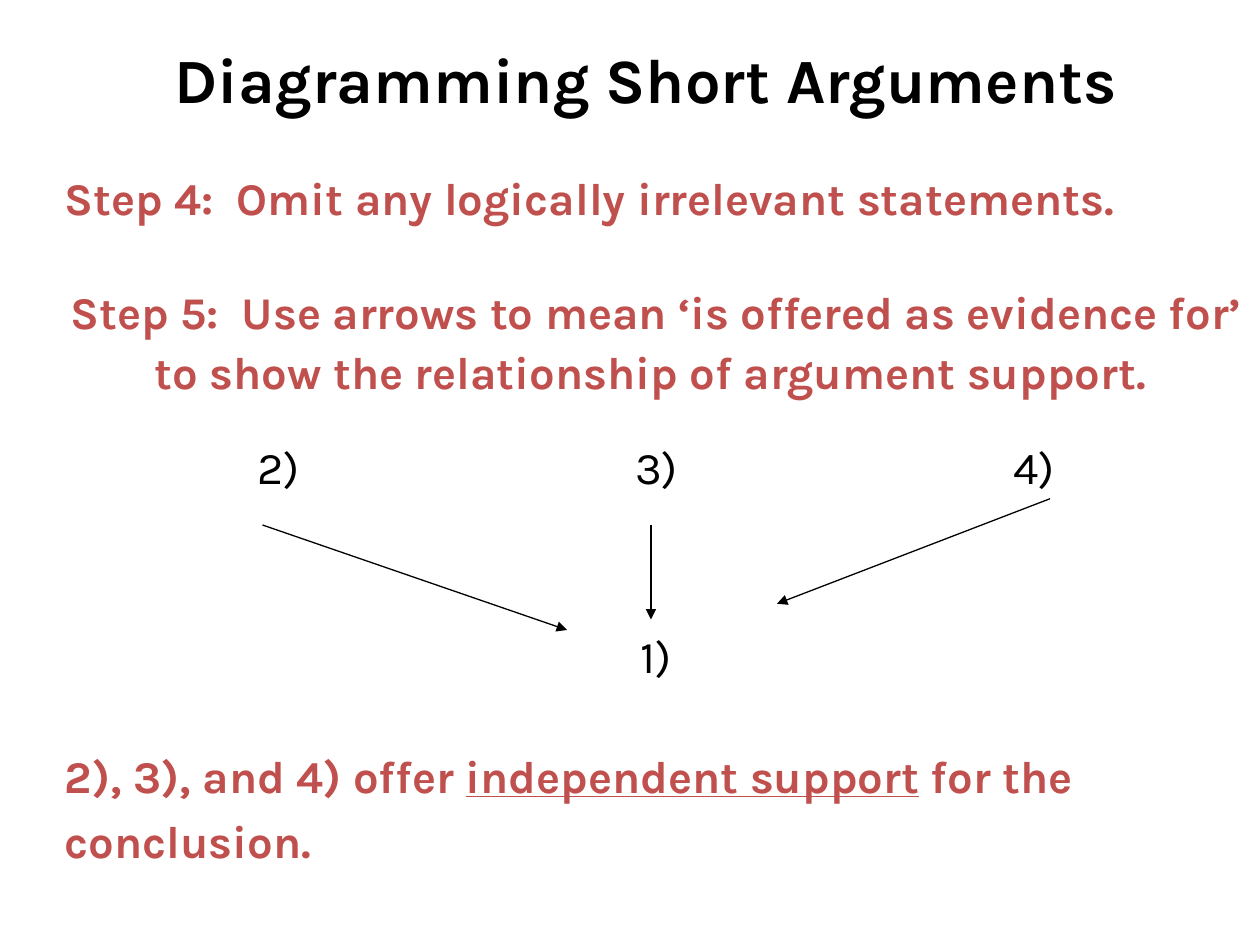
import pptx
import pptx.dml.color
import pptx.enum.shapes
import pptx.enum.text
import pptx.oxml
import pptx.oxml.ns
import pptx.util
from lxml import etree

COLORS = {"ink": "000000", "step": "C0504D"}
CELL = pptx.util.Inches(1) / 12
FONT = "Karla"
PARAGRAPH_GAP = 5
BLANK_LINE = 27
ALIGN = pptx.enum.text.PP_ALIGN
STEP = {"size": 25.9, "bold": True, "color": "step"}
LABEL = {"size": 25.9, "bold": False, "color": "ink"}
PREMISE_COLUMNS = (18.3, 54.3, 90.3)


def cells(*counts):
    return [round(count * CELL) for count in counts]


def set_all(target, values):
    for name, value in values.items():
        setattr(target, name, value)


def add_run(paragraph, text, style, underline=None):
    run = paragraph.add_run()
    run.text = text
    set_all(run.font, {
        "name": FONT,
        "size": pptx.util.Pt(style["size"]),
        "bold": style["bold"],
        "underline": underline,
    })
    run.font.color.rgb = pptx.dml.color.RGBColor.from_string(COLORS[style["color"]])


def add_tab_stops(paragraph, columns):
    tabs = etree.SubElement(paragraph._p.get_or_add_pPr(), pptx.oxml.ns.qn("a:tabLst"))
    for position in cells(*columns):
        etree.SubElement(tabs, pptx.oxml.ns.qn("a:tab"), pos=str(position), algn="l")


def format_paragraph(paragraph, align, spacing, blank_lines=None):
    before = 0 if blank_lines is None else PARAGRAPH_GAP + BLANK_LINE * blank_lines
    set_all(paragraph, {
        "alignment": align,
        "line_spacing": spacing,
        "space_before": pptx.util.Pt(before),
    })


def place_title(slide, text):
    title = slide.shapes.title
    set_all(title, dict(zip(("left", "top", "width", "height"), cells(12, 2, 99, 11))))
    title.text_frame.vertical_anchor = pptx.enum.text.MSO_ANCHOR.MIDDLE
    heading = title.text_frame.paragraphs[0]
    heading.alignment = ALIGN.CENTER
    add_run(heading, text, {"size": 36, "bold": True, "color": "ink"})


def add_steps(slide):
    frame = slide.shapes.add_textbox(*cells(5, 17, 115, 69)).text_frame
    frame.word_wrap = True

    omit = frame.paragraphs[0]
    format_paragraph(omit, ALIGN.LEFT, 0.7)
    add_run(omit, "Step 4:  Omit any logically irrelevant statements.", STEP)

    arrows = frame.add_paragraph()
    format_paragraph(arrows, ALIGN.CENTER, 1.1, 1)
    add_run(arrows, "Step 5:  Use arrows to mean ‘is offered as evidence for’ "
                    "to show the relationship of argument support. ", STEP)

    premises = frame.add_paragraph()
    add_tab_stops(premises, PREMISE_COLUMNS)
    format_paragraph(premises, ALIGN.LEFT, 0.7, 1)
    add_run(premises, "\t2)\t3)\t4)", LABEL)

    conclusion = frame.add_paragraph()
    format_paragraph(conclusion, ALIGN.CENTER, 0.7, 3)
    add_run(conclusion, "1)", LABEL)

    summary = frame.add_paragraph()
    format_paragraph(summary, ALIGN.LEFT, 1.2, 1)
    add_run(summary, "2), 3), and 4) offer ", STEP)
    add_run(summary, "independent support", STEP, underline=True)
    add_run(summary, " for the conclusion.", STEP)


def add_arrow(slide, start, end):
    arrow = slide.shapes.add_connector(
        pptx.enum.shapes.MSO_CONNECTOR.STRAIGHT, *cells(*start, *end))
    arrow.line.width = pptx.util.Pt(0.75)
    arrow.line.color.rgb = pptx.dml.color.RGBColor.from_string(COLORS["ink"])
    etree.SubElement(arrow.line._get_or_add_ln(), pptx.oxml.ns.qn("a:tailEnd"), type="triangle")
    etree.SubElement(arrow._element.spPr, pptx.oxml.ns.qn("a:effectLst"))


def main():
    deck = pptx.Presentation()
    deck.slide_width, deck.slide_height = cells(120, 90)
    slide = deck.slides.add_slide(deck.slide_layouts[5])
    place_title(slide, "Diagramming Short Arguments")
    add_steps(slide)
    for start, end in (
        ((62, 50), (62, 59)),
        ((100, 47.5), (74, 57.5)),
        ((25, 50), (54, 60)),
    ):
        add_arrow(slide, start, end)
    deck.save("out.pptx")


if __name__ == "__main__":
    main()
